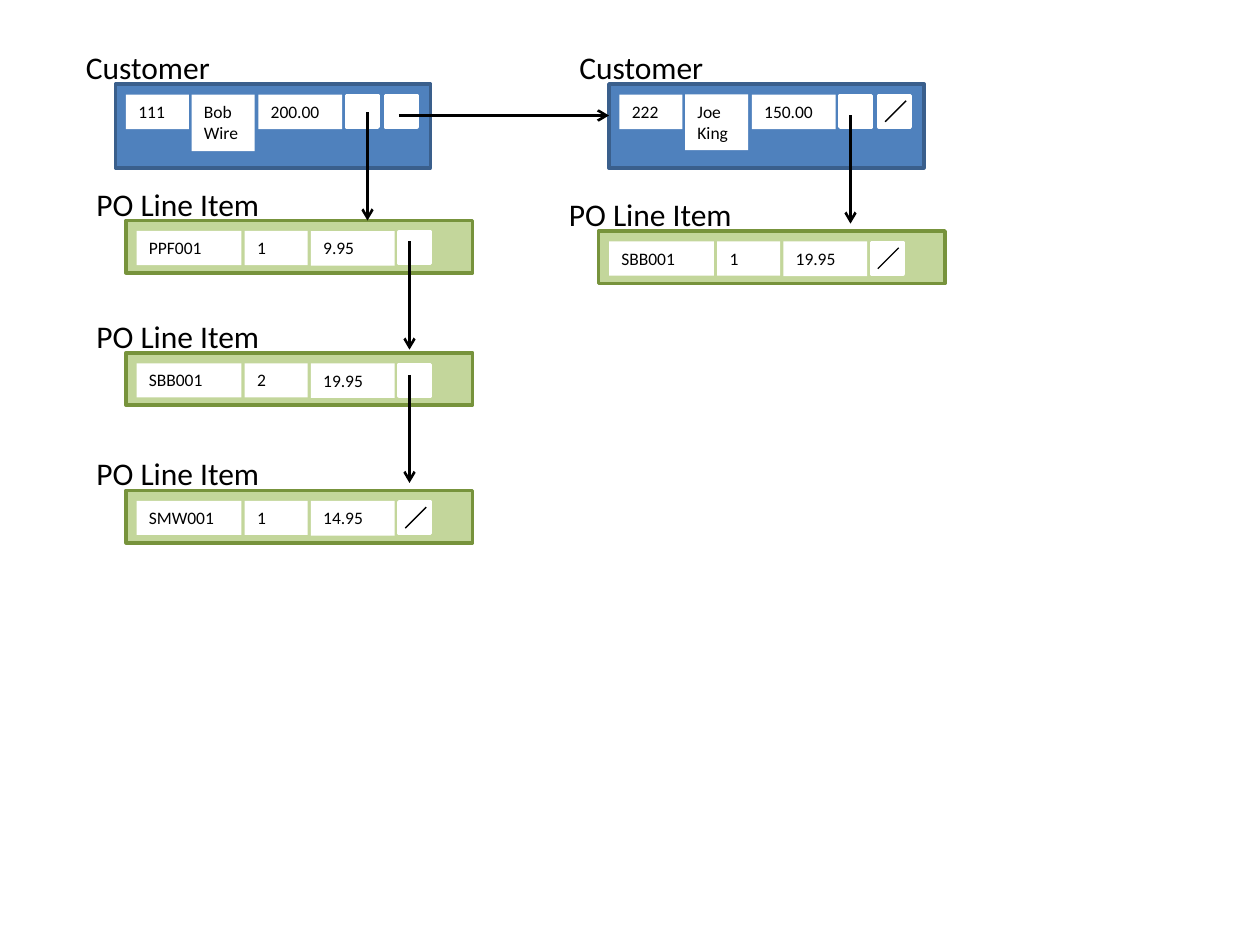
from dataclasses import dataclass

from lxml.etree import SubElement
from pptx import Presentation
from pptx.dml.color import RGBColor as Rgb
from pptx.enum.shapes import MSO_CONNECTOR as Connector, MSO_SHAPE as Shape
from pptx.enum.text import MSO_ANCHOR as Anchor, MSO_AUTO_SIZE as AutoSize, PP_ALIGN as Align
from pptx.oxml.ns import qn
from pptx.util import Inches, Pt


@dataclass(frozen=True)
class Theme:
    """Colours, type sizes and line widths of the diagram."""
    font: str = "Calibri"
    ink: str = "000000"
    paper: str = "FFFFFF"
    customer: tuple = ("4F81BD", "3A5F8C")
    item: tuple = ("C3D69B", "77933C")
    title_size: float = 18
    field_size: float = 10
    border: float = 2
    arrow: float = 1.5
    slash: float = 0.75


THEME = Theme()
CELL = Inches(1) / 12
POINTER = 3
FIELD_TOP = 1
POINTER_TOP = 1.1


def grid(*cells):
    """Turn grid columns and rows into slide lengths."""
    return [round(cell * CELL) for cell in cells]


def add_box(page, box, fill, line=None):
    """Draw a filled rectangle on the grid."""
    shape = page.shapes.add_shape(Shape.RECTANGLE, *grid(*box))
    shape.shadow.inherit = False
    shape.fill.solid()
    shape.fill.fore_color.rgb = Rgb.from_string(fill)
    if line:
        shape.line.color.rgb = Rgb.from_string(line)
        shape.line.width = Pt(THEME.border)
    else:
        shape.line.fill.background()
    return shape


def write(shape, text, size):
    """Set left-aligned text from the top of a shape."""
    frame = shape.text_frame
    frame.word_wrap = True
    frame.auto_size = AutoSize.SHAPE_TO_FIT_TEXT
    frame.vertical_anchor = Anchor.TOP
    frame.text = text
    para = frame.paragraphs[0]
    para.alignment = Align.LEFT
    para.font.name = THEME.font
    para.font.size = Pt(size)
    para.font.color.rgb = Rgb.from_string(THEME.ink)


def add_line(page, ends, width, arrow=False):
    """Draw a straight line, with an arrowhead at its end if asked."""
    line = page.shapes.add_connector(Connector.STRAIGHT, *grid(*ends))
    line.line.color.rgb = Rgb.from_string(THEME.ink)
    line.line.width = Pt(width)
    if arrow:
        SubElement(line.line._get_or_add_ln(), qn("a:tailEnd"), type="arrow")
    SubElement(line._element.spPr, qn("a:effectLst"))


def add_record(page, title, box, colors, fields, pointers):
    """Draw a titled record with its fields and its open or null pointers."""
    left, top, _, _ = box
    add_box(page, box, *colors)
    for text, column, width, height in fields:
        field = add_box(page, (left + column, top + FIELD_TOP, width, height), THEME.paper)
        write(field, text, THEME.field_size)
    for column, is_null in pointers:
        x, y = left + column, top + POINTER_TOP
        add_box(page, (x, y, POINTER, POINTER), THEME.paper, THEME.paper)
        if is_null:
            add_line(page, (x + 2.6, y + 0.5, x + 0.6, y + 2.5), THEME.slash)
    label = page.shapes.add_textbox(*grid(left - 4, top - 4, 18, 4.8))
    write(label, title, THEME.title_size)


def add_customer(page, left, values, name_height, is_last):
    """Draw a customer with links to its items and to the next customer."""
    number, name, balance = values
    fields = [(number, 1, 6, 3.3), (name, 7.25, 6, name_height), (balance, 13.6, 8, 3.3)]
    add_record(page, "Customer", (left, 8, 30, 8), THEME.customer, fields,
               [(22, False), (25.7, is_last)])


def add_item(page, left, top, values, is_last):
    """Draw a purchase order line with a link to the next line."""
    code, count, price = values
    fields = [(code, 1, 10, 3.25), (count, 11.3, 6, 3.25), (price, 17.6, 8, 3.3)]
    add_record(page, "PO Line Item", (left, top, 33, 5), THEME.item, fields, [(26, is_last)])


def build_slide(page):
    """Place the customers, their order lines and the links between them."""
    add_customer(page, 11, ("111", "Bob\vWire", "200.00"), 5.4, False)
    add_customer(page, 58, ("222", "Joe King", "150.00"), 5.3, True)
    for left, top, values, is_last in (
        (12, 21, ("PPF001", "1", "9.95"), False),
        (12, 33.6, ("SBB001", "2", "19.95"), False),
        (12, 46.7, ("SMW001", "1", "14.95"), True),
        (57, 22, ("SBB001", "1", "19.95"), True),
    ):
        add_item(page, left, top, values, is_last)
    for ends in ((35, 10.7, 35, 21), (39, 23, 39, 33.3), (38, 11, 58, 11),
                 (39, 35.7, 39, 46), (81, 11, 81, 21.3)):
        add_line(page, ends, THEME.arrow, arrow=True)


deck = Presentation()
deck.slide_width, deck.slide_height = Inches(10), Inches(7.5)
build_slide(deck.slides.add_slide(deck.slide_layouts[6]))
deck.save("out.pptx")
